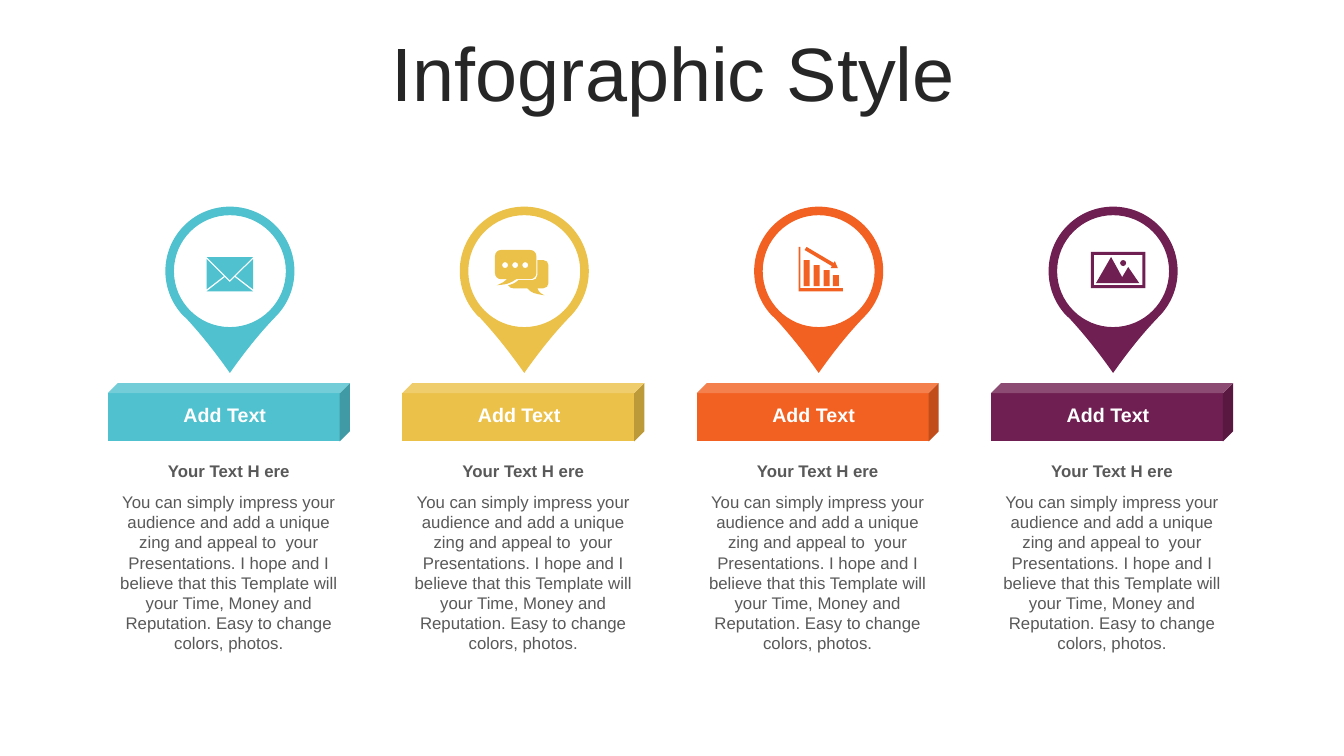
import math
from dataclasses import dataclass

from pptx import Presentation
from pptx import util as u
from pptx.dml.color import RGBColor
from pptx.enum import shapes, text
from pptx.oxml.ns import qn

Point = tuple[float, float]
Step = tuple[Point, ...]  # one point: a line; three points: a cubic curve
Contour = list[Step]

FIRST_CENTER, PITCH, PIN_Y = 2.28, 2.92, 2.69
GREY = "595959"
HEADING = "Your Text H ere"
BODY = (
    "You can simply impress your audience and add a unique zing and appeal to  your "
    "Presentations. I hope and I believe that this Template will your Time, Money and "
    "Reputation. Easy to change colors, photos."
)


@dataclass
class Column:
    color: str
    icon: list[Contour]


# Outline helpers: inches from the pin's centre
def lines(*points: Point) -> Contour:
    return [(point,) for point in points]


def rect(left: float, top: float, right: float, bottom: float) -> Contour:
    return lines((left, top), (right, top), (right, bottom), (left, bottom))


def arc(cx: float, cy: float, r: float, start: float, end: float) -> Contour:
    pieces = math.ceil(abs(end - start) / 90)
    sweep = math.radians(end - start) / pieces
    pull = 4 / 3 * math.tan(sweep / 4)

    def at(angle: float, tangent: float = 0) -> Point:
        cos, sin = math.cos(angle), math.sin(angle)
        return cx + r * (cos - tangent * sin), cy + r * (sin + tangent * cos)

    angles = [math.radians(start) + sweep * i for i in range(pieces + 1)]
    return [(at(angles[0]),)] + [
        (at(a, pull), at(b, -pull), at(b)) for a, b in zip(angles, angles[1:])
    ]


def circle(cx: float, cy: float, r: float) -> Contour:
    return arc(cx, cy, r, 0, 360)


# Pin and icons
PIN = [
    arc(0, 0, 0.64, 135, 180) + arc(0, 0, 0.64, 180, 360) + arc(0, 0, 0.64, 360, 405)
    + [((0.29, 0.62), (0.14, 0.81), (0, 1.01)), ((-0.14, 0.81), (-0.29, 0.62), (-0.45, 0.45))],
    circle(0, 0, 0.555),
]

ENVELOPE = [
    lines((0.05, 0.06), (0.23, 0.2), (-0.23, 0.2), (-0.05, 0.06), (0, 0.11)),
    lines((0.23, -0.12), (0.23, 0.18), (0.06, 0.05)),
    lines((-0.23, -0.12), (-0.23, 0.18), (-0.06, 0.05)),
    lines((-0.23, -0.14), (0.23, -0.14), (0, 0.09)),
]

front_bubble = (
    arc(-0.23, -0.15, 0.06, 180, 270) + arc(0.06, -0.15, 0.06, 270, 360)
    + arc(0.06, 0.02, 0.06, 0, 90) + lines((-0.08, 0.08))
    + [((-0.14, 0.12), (-0.16, 0.13), (-0.27, 0.14)),
       ((-0.21, 0.11), (-0.2, 0.11), (-0.17, 0.08))]
    + arc(-0.23, 0.02, 0.06, 90, 180)
)
back_bubble = (
    lines((0.13, -0.11)) + arc(0.19, -0.06, 0.05, 270, 360)
    + arc(0.19, 0.12, 0.05, 0, 90) + lines((0.13, 0.17))
    + [((0.14, 0.19), (0.14, 0.21), (0.2, 0.24)), ((0.09, 0.22), (0.08, 0.22), (0.03, 0.17))]
    + lines((-0.11, 0.17))
    + [((-0.13, 0.17), (-0.15, 0.16), (-0.16, 0.14)),
       ((-0.12, 0.13), (-0.09, 0.12), (-0.06, 0.09))]
    + arc(0.08, 0.04, 0.05, 90, 0)
)
CHAT = [front_bubble, back_bubble] + [circle(x, -0.06, 0.03) for x in (-0.19, -0.09, 0.01)]

DECLINE = [
    rect(x, top, x + 0.06, 0.15)
    for x, top in ((-0.15, -0.11), (-0.05, -0.06), (0.05, -0.01), (0.14, 0.04))
] + [
    lines((-0.12, -0.24), (0.15, -0.08), (0.16, -0.1), (0.19, -0.03), (0.12, -0.03),
          (0.13, -0.05), (-0.14, -0.21)),
    lines((-0.2, -0.24), (-0.18, -0.24), (-0.18, 0.17), (0.24, 0.17), (0.24, 0.2), (-0.2, 0.2)),
]

LANDSCAPE = [
    rect(-0.22, -0.19, 0.32, 0.17),
    rect(-0.19, -0.16, 0.29, 0.14),
    circle(0.1, -0.08, 0.03),
    lines((-0.02, -0.14), (0.09, 0.06), (0.15, -0.04), (0.26, 0.12), (-0.17, 0.12)),
]

COLUMNS = [
    Column("4FC1CF", ENVELOPE),
    Column("EBC149", CHAT),
    Column("F26122", DECLINE),
    Column("6F1F51", LANDSCAPE),
]


# Drawing
def paint(shape, color: str) -> None:
    shape.shadow.inherit = False
    shape.fill.solid()
    shape.fill.fore_color.rgb = RGBColor.from_string(color)
    shape.line.fill.background()


def draw_outline(slide, contours: list[Contour], center: float, color: str) -> None:
    placed = [
        [(u.Inches(center + x), u.Inches(PIN_Y + y)) for step in contour for x, y in step]
        for contour in contours
    ]
    builder = slide.shapes.build_freeform(*placed[0][0])
    for index, points in enumerate(placed):
        if index:
            builder.move_to(*points[0])
        builder.add_line_segments(points[1:], close=True)
    outline = builder.convert_to_shape()
    paint(outline, color)

    # Join each three-point step into one curve
    segments = iter(list(outline._element.iter(qn("a:lnTo"))))
    for contour in contours:
        for step in contour[1:]:
            first, *others = [next(segments) for _ in step]
            if others:
                first.tag = qn("a:cubicBezTo")
            for other in others:
                first.append(other[0])
                other.getparent().remove(other)


def write(frame, words: str, *, size: float, color: str, bold: bool = False,
          anchor=text.MSO_ANCHOR.TOP, spacing: float = 1.0) -> None:
    frame.word_wrap = True
    frame.auto_size = text.MSO_AUTO_SIZE.NONE
    frame.vertical_anchor = anchor
    frame.text = words
    paragraph = frame.paragraphs[0]
    paragraph.alignment = text.PP_ALIGN.CENTER
    paragraph.line_spacing = spacing
    font = paragraph.runs[0].font
    font.name, font.size, font.bold = "Arial", u.Pt(size), bold
    font.color.rgb = RGBColor.from_string(color)


def add_text(slide, left: float, top: float, width: float, height: float,
             words: str, **style) -> None:
    box = slide.shapes.add_textbox(*map(u.Inches, (left, top, width, height)))
    write(box.text_frame, words, **style)


def draw_column(slide, column: Column, center: float) -> None:
    draw_outline(slide, PIN, center, column.color)
    draw_outline(slide, column.icon, center, column.color)
    bar = slide.shapes.add_shape(
        shapes.MSO_SHAPE.CUBE, *map(u.Inches, (center - 1.21, 3.8, 2.4, 0.58)))
    bar.adjustments[0] = 0.173
    paint(bar, column.color)
    add_text(slide, center - 0.92, 3.95, 1.74, 0.34, "Add Text",
             size=14, color="FFFFFF", bold=True)
    add_text(slide, center - 1.23, 4.52, 2.44, 0.3, HEADING, size=12, color=GREY, bold=True)
    add_text(slide, center - 1.23, 4.83, 2.44, 1.72, BODY, size=12, color=GREY)


def main() -> None:
    deck = Presentation()
    deck.slide_width, deck.slide_height = u.Inches(13.33), u.Inches(7.5)
    slide = deck.slides.add_slide(deck.slide_layouts[5])

    # Title
    title = slide.shapes.title
    title.left, title.top, title.width, title.height = map(u.Inches, (0.35, 0.37, 12.66, 0.79))
    write(title.text_frame, "Infographic Style", size=54, color="262626",
          anchor=text.MSO_ANCHOR.MIDDLE, spacing=0.9)

    # Four pins with their bars and captions
    for index, column in enumerate(COLUMNS):
        draw_column(slide, column, FIRST_CENTER + index * PITCH)

    deck.save("out.pptx")


if __name__ == "__main__":
    main()
